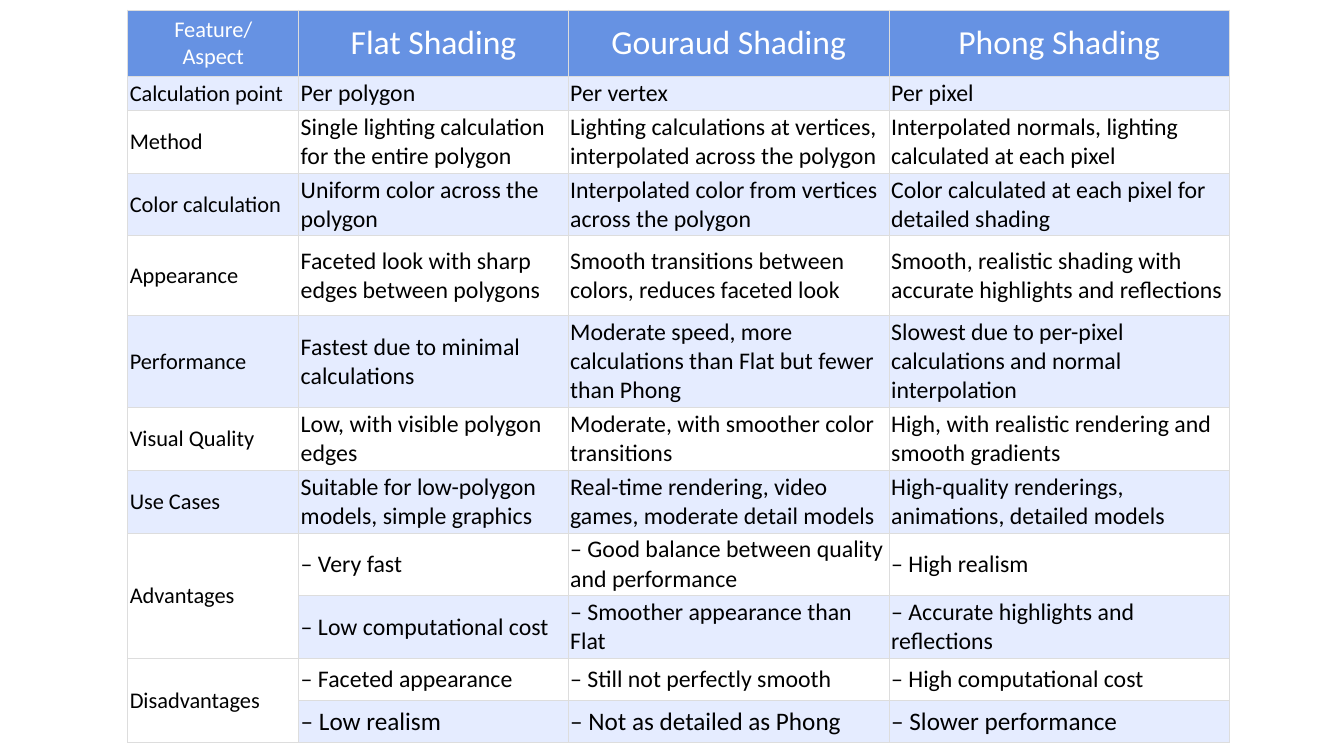
"""Build a slide with a table that compares three shading methods."""
from lxml.etree import SubElement as Sub
from pptx import Presentation
from pptx.dml.color import RGBColor
from pptx.enum.text import MSO_ANCHOR as Anchor, PP_ALIGN as Align
from pptx.oxml.ns import qn
from pptx.util import Cm, Pt


def tint(code):
    return RGBColor.from_string(code)


def edge(cell, code, width):
    props = cell._tc.get_or_add_tcPr()
    for side in ("lnL", "lnR", "lnT", "lnB"):
        line = Sub(props, qn("a:" + side), w=str(Pt(width)))
        Sub(Sub(line, qn("a:solidFill")), qn("a:srgbClr"), val=code)


rows = [
    (1.65, "Feature/\nAspect", "Flat Shading", "Gouraud Shading", "Phong Shading"),
    (0.85, "Calculation point", "Per polygon", "Per vertex", "Per pixel"),
    (1.58, "Method", "Single lighting calculation for the entire polygon",
     "Lighting calculations at vertices, interpolated across the polygon",
     "Interpolated normals, lighting calculated at each pixel"),
    (1.58, "Color calculation", "Uniform color across the polygon",
     "Interpolated color from vertices across the polygon",
     "Color calculated at each pixel for detailed shading"),
    (2.01, "Appearance", "Faceted look with sharp edges between polygons",
     "Smooth transitions between colors, reduces faceted look",
     "Smooth, realistic shading with accurate highlights and reflections"),
    (2.32, "Performance", "Fastest due to minimal calculations",
     "Moderate speed, more calculations than Flat but fewer than Phong",
     "Slowest due to per-pixel calculations and normal interpolation"),
    (1.58, "Visual Quality", "Low, with visible polygon edges",
     "Moderate, with smoother color transitions",
     "High, with realistic rendering and smooth gradients"),
    (1.58, "Use Cases", "Suitable for low-polygon models, simple graphics",
     "Real-time rendering, video games, moderate detail models",
     "High-quality renderings, animations, detailed models"),
    (1.58, "Advantages", "– Very fast",
     "– Good balance between quality and performance", "– High realism"),
    (1.58, "", "– Low computational cost", "– Smoother appearance than Flat",
     "– Accurate highlights and reflections"),
    (1.06, "Disadvantages", "– Faceted appearance",
     "– Still not perfectly smooth", "– High computational cost"),
    (1.06, "", "– Low realism", "– Not as detailed as Phong", "– Slower performance"),
]
widths = [4.31, 6.79, 8.09, 8.57]

deck = Presentation()
deck.slide_width, deck.slide_height = Cm(33.87), Cm(19.05)
slide = deck.slides.add_slide(deck.slide_layouts[6])
high = sum(row[0] for row in rows)
frame = slide.shapes.add_table(len(rows), len(widths), Cm(3.22), Cm(0.25),
                               Cm(sum(widths)), Cm(high))
table = frame.table
table.first_row = table.horz_banding = False
for col, width in zip(table.columns, widths):
    col.width = Cm(width)

for r, (height, *texts) in enumerate(rows):
    table.rows[r].height = Cm(height)
    head = r == 0
    body = 18 if r == len(rows) - 1 else 17
    for c, text in enumerate(texts):
        cell = table.cell(r, c)
        edge(cell, "DDDDDD", 0.6)
        blank = not text
        shade = "6692E3" if head else "E5ECFF" if r % 2 and not blank else "FFFFFF"
        cell.fill.solid()
        cell.fill.fore_color.rgb = tint(shade)
        cell.vertical_anchor = Anchor.MIDDLE
        inset = Cm(0.15 if head else 0.05)
        cell.margin_left = cell.margin_right = inset
        cell.margin_top = cell.margin_bottom = inset
        if blank:
            table.cell(r - 1, c).merge(cell)
            continue
        for n, part in enumerate(text.split("\n")):
            box = cell.text_frame
            para = box.add_paragraph() if n else box.paragraphs[0]
            para.alignment = Align.CENTER if head else Align.LEFT
            run = para.add_run()
            run.text = part
            run.font.name = "Calibri"
            run.font.size = Pt(16 if c == 0 else 24 if head else body)
            run.font.color.rgb = tint("FFFFFF" if head else "000000")

deck.save("out.pptx")
